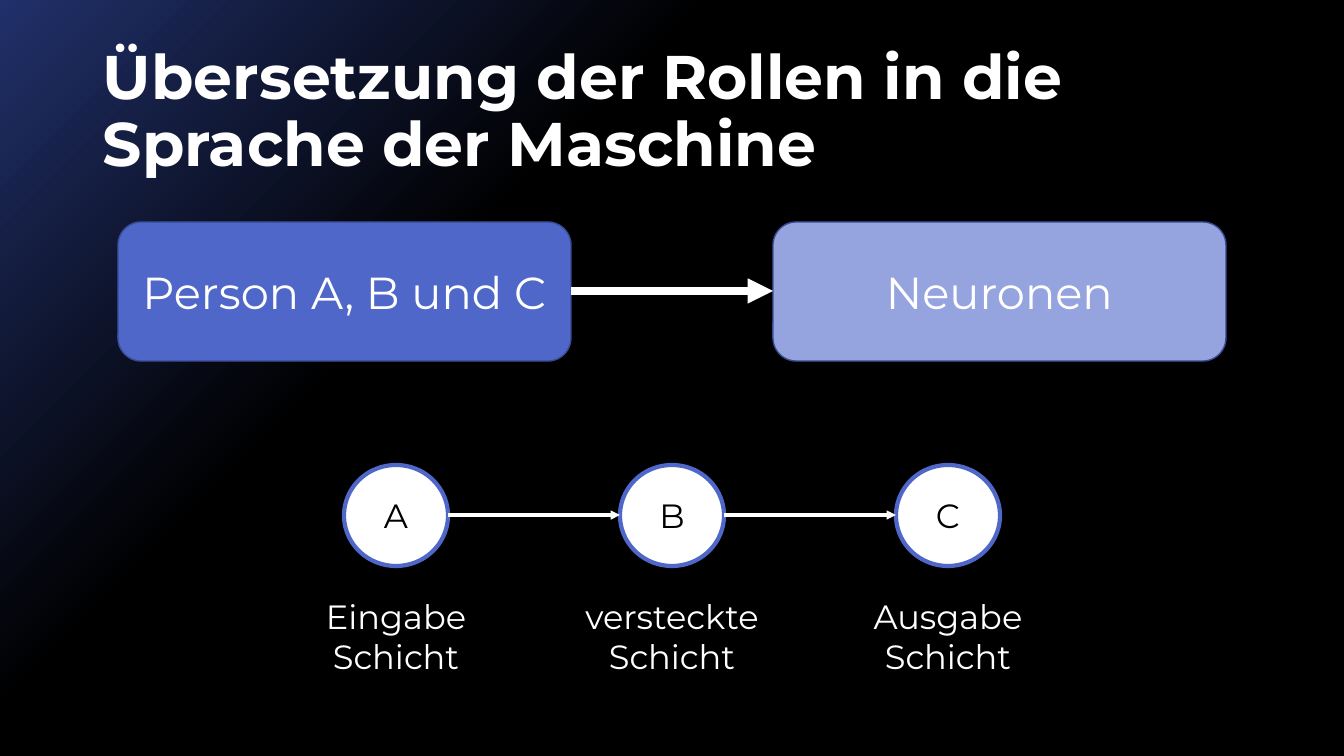
"""Builds the slide that maps the roles of persons to neurons and layers."""
from dataclasses import dataclass

from lxml import etree
from pptx import Presentation
from pptx.dml.color import RGBColor
from pptx.enum.shapes import MSO_CONNECTOR, MSO_SHAPE
from pptx.enum.text import MSO_ANCHOR, PP_ALIGN
from pptx.oxml.ns import qn
from pptx.util import Pt

EMU_PER_PIXEL = 914400 / 100.8


def px(pixels):
    return round(pixels * EMU_PER_PIXEL)


@dataclass(frozen=True)
class Theme:
    font: str = "Montserrat"
    white: str = "FFFFFF"
    black: str = "000000"
    night: str = "21306A"
    blue: str = "4E67C8"
    pale: str = "95A4DE"
    edge: str = "3A4C94"
    title: int = 44
    box: int = 32
    label: int = 24


class Painter:
    def __init__(self, slide, theme):
        self.slide = slide
        self.theme = theme

    def background(self):
        fill = self.slide.background.fill
        fill.gradient()
        fill.gradient_angle = 315
        stops = ((0, self.theme.night), (0.34, self.theme.black))
        for stop, (position, color) in zip(fill.gradient_stops, stops):
            stop.position = position
            stop.color.rgb = RGBColor.from_string(color)

    def set_text(self, shape, lines, size, color, align=PP_ALIGN.CENTER,
                 anchor=MSO_ANCHOR.MIDDLE, bold=False, spacing=1.0):
        frame = shape.text_frame
        frame.word_wrap = True
        frame.vertical_anchor = anchor
        frame.text = "\n".join(lines)
        for paragraph in frame.paragraphs:
            paragraph.alignment = align
            paragraph.line_spacing = spacing
            font = paragraph.runs[0].font
            font.name = self.theme.font
            font.size = Pt(size)
            font.bold = bold
            font.color.rgb = RGBColor.from_string(color)

    def text(self, left, top, width, height, lines, size, **style):
        box = self.slide.shapes.add_textbox(*map(px, (left, top, width, height)))
        self.set_text(box, lines, size, self.theme.white, **style)

    def shape(self, kind, left, top, width, height, fill, line, weight,
              text, size, color):
        shape = self.slide.shapes.add_shape(kind, *map(px, (left, top, width, height)))
        shape.shadow.inherit = False
        shape.fill.solid()
        shape.fill.fore_color.rgb = RGBColor.from_string(fill)
        shape.line.color.rgb = RGBColor.from_string(line)
        shape.line.width = Pt(weight)
        self.set_text(shape, [text], size, color)

    def arrow(self, start, end, y, weight):
        arrow = self.slide.shapes.add_connector(
            MSO_CONNECTOR.STRAIGHT, *map(px, (start, y, end, y)))
        arrow.line.color.rgb = RGBColor.from_string(self.theme.white)
        arrow.line.width = Pt(weight)
        properties = arrow.element.spPr
        etree.SubElement(properties.find(qn("a:ln")), qn("a:tailEnd"), type="triangle")
        etree.SubElement(properties, qn("a:effectLst"))


theme = Theme()
presentation = Presentation()
presentation.slide_width, presentation.slide_height = px(1344), px(756)
painter = Painter(presentation.slides.add_slide(presentation.slide_layouts[6]), theme)

painter.background()
painter.text(93, 40, 1159, 146, ["Übersetzung der Rollen in die Sprache der Maschine"],
             theme.title, align=PP_ALIGN.LEFT, bold=True, spacing=0.9)

BOX_TOP, BOX_WIDTH, BOX_HEIGHT = 222, 453, 139
PERSONS_LEFT, NEURONS_LEFT = 118, 773
for left, fill, text in ((PERSONS_LEFT, theme.blue, "Person A, B und C"),
                         (NEURONS_LEFT, theme.pale, "Neuronen")):
    painter.shape(MSO_SHAPE.ROUNDED_RECTANGLE, left, BOX_TOP, BOX_WIDTH, BOX_HEIGHT,
                  fill, theme.edge, 1, text, theme.box, theme.white)
painter.arrow(PERSONS_LEFT + BOX_WIDTH, NEURONS_LEFT, BOX_TOP + BOX_HEIGHT // 2, 6)

NEURON_LEFT, NEURON_TOP, NEURON_WIDTH, NEURON_HEIGHT = 344, 465, 104, 101
PITCH = 276
layers = (("A", "Eingabe", 172), ("B", "versteckte", 252), ("C", "Ausgabe", 172))
for index, (letter, layer, label_width) in enumerate(layers):
    left = NEURON_LEFT + index * PITCH
    painter.shape(MSO_SHAPE.OVAL, left, NEURON_TOP, NEURON_WIDTH, NEURON_HEIGHT,
                  theme.white, theme.blue, 3, letter, theme.label, theme.black)
    painter.text(left + (NEURON_WIDTH - label_width) // 2, 591, label_width, 92,
                 [layer, "Schicht"], theme.label, anchor=MSO_ANCHOR.TOP)
    if index:
        painter.arrow(left - PITCH + NEURON_WIDTH, left,
                      NEURON_TOP + NEURON_HEIGHT // 2, 2.25)

presentation.save("out.pptx")
